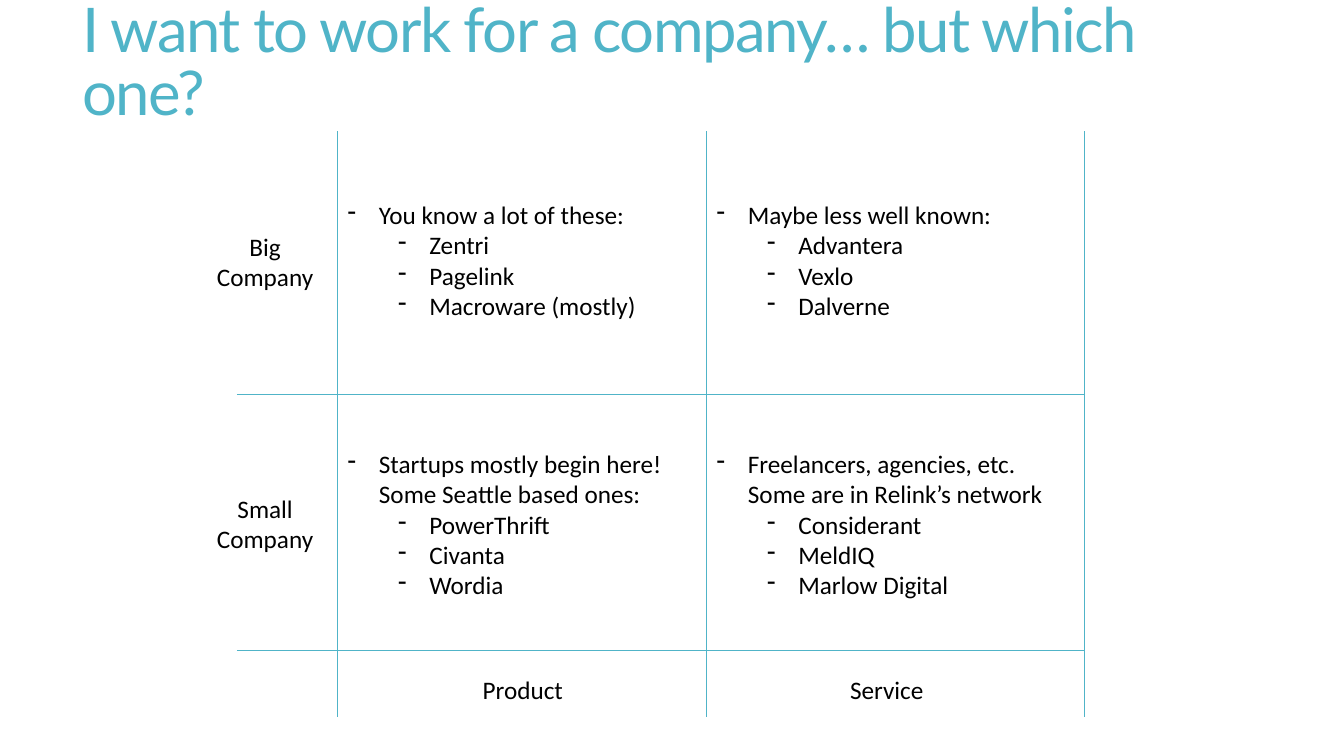
from lxml import etree
from pptx import Presentation
from pptx import util as u
from pptx.dml.color import RGBColor
from pptx.enum import shapes, text
from pptx.oxml import ns

TEAL = RGBColor(0x50, 0xB4, 0xC8)
BLACK = RGBColor(0, 0, 0)

COLUMNS = [3.35, 7.01, 10.76]
ROWS = [3.91, 6.45]
GRID_LEFT, GRID_TOP, GRID_BOTTOM = 2.35, 1.3, 7.11
CELL_TOPS = [1.46, 4.08]

SIZES = [("Big Company", 2.24), ("Small Company", 4.84)]
KINDS = [("Product", 4.49), ("Service", 8.1)]
QUADRANTS = [
    [
        ["You know a lot of these:", "Zentri", "Pagelink", "Macroware (mostly)"],
        ["Maybe less well known:", "Advantera", "Vexlo", "Dalverne"],
    ],
    [
        ["Startups mostly begin here! Some Seattle based ones:",
         "PowerThrift", "Civanta", "Wordia"],
        ["Freelancers, agencies, etc. Some are in Relink’s network",
         "Considerant", "MeldIQ", "Marlow Digital"],
    ],
]


def add_frame(page, left, top, width, height):
    box = page.shapes.add_textbox(*map(u.Inches, (left, top, width, height)))
    frame = box.text_frame
    frame.word_wrap = True
    frame.vertical_anchor = text.MSO_ANCHOR.MIDDLE
    return frame


def write(para, words, size=18, font="Calibri", color=BLACK, align=None,
          line_spacing=None, tracking=None):
    para.alignment = align
    para.line_spacing = line_spacing
    span = para.add_run()
    span.text = words
    span.font.size = u.Pt(size)
    span.font.name = font
    span.font.color.rgb = color
    if tracking is not None:
        span.font._element.set("spc", str(int(tracking * 100)))


def add_label(page, words, left, top, width, height):
    frame = add_frame(page, left, top, width, height)
    write(frame.paragraphs[0], words, align=text.PP_ALIGN.CENTER)


def add_dash(para, level):
    para.level = level
    properties = para._p.get_or_add_pPr()
    properties.set("marL", str(u.Inches(0.31 + 0.5 * level)))
    properties.set("indent", str(u.Inches(-0.31)))
    etree.SubElement(properties, ns.qn("a:buChar")).set("char", "-")


def add_list(page, lines, left, top):
    frame = add_frame(page, left, top, 3.75, 2.24)
    for index, words in enumerate(lines):
        para = frame.add_paragraph() if index else frame.paragraphs[0]
        add_dash(para, min(index, 1))
        write(para, words)


def add_line(page, *ends):
    line = page.shapes.add_connector(
        shapes.MSO_CONNECTOR.STRAIGHT, *map(u.Inches, ends))
    line.line.color.rgb = TEAL
    line.line.width = u.Pt(0.75)
    etree.SubElement(line._element.spPr, ns.qn("a:effectLst"))


def main():
    deck = Presentation()
    deck.slide_width = u.Inches(13.33)
    deck.slide_height = u.Inches(7.5)
    page = deck.slides.add_slide(deck.slide_layouts[6])

    title = add_frame(page, 0.72, 0.17, 11.78, 0.96)
    write(title.paragraphs[0], "I want to work for a company… but which one?",
          size=44, font="Lato", color=TEAL, line_spacing=0.85, tracking=-1.2)

    for words, top in SIZES:
        add_label(page, words, 1.91, top, 1.44, 0.71)
    for words, left in KINDS:
        add_label(page, words, left, 6.45, 1.39, 0.78)

    for x in COLUMNS:
        add_line(page, x, GRID_BOTTOM, x, GRID_TOP)
    for y in ROWS:
        add_line(page, GRID_LEFT, y, COLUMNS[-1], y)

    for top, row in zip(CELL_TOPS, QUADRANTS):
        for left, lines in zip(COLUMNS, row):
            add_list(page, lines, left, top)

    deck.save("out.pptx")


if __name__ == "__main__":
    main()
